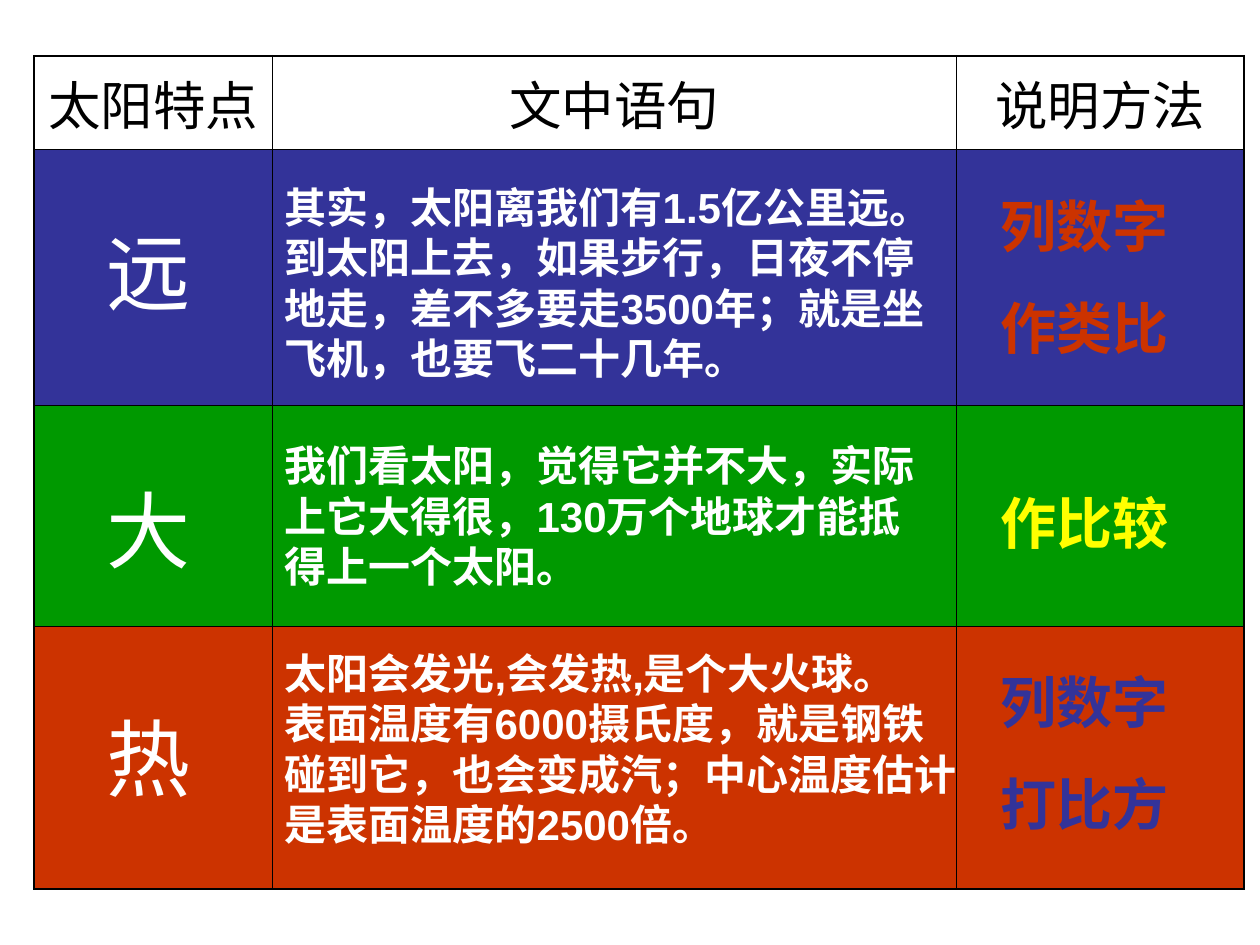
from dataclasses import dataclass
from typing import Sequence

from lxml import etree
from pptx import Presentation
from pptx import util as u
from pptx.dml.color import RGBColor
from pptx.enum import lang, text
from pptx.oxml import ns


@dataclass(frozen=True)
class Theme:
    font: str = "Arial"
    white: str = "FFFFFF"
    black: str = "000000"
    blue: str = "333399"
    green: str = "009900"
    red: str = "CC3300"
    yellow: str = "FFFF00"
    header_size: float = 30
    feature_size: float = 48
    quote_size: float = 24
    method_size: float = 32
    inner_line: float = 0.45
    outer_line: float = 1.08


@dataclass(frozen=True)
class Box:
    left: float
    top: float
    width: float
    height: float


@dataclass(frozen=True)
class Feature:
    name: str
    fill: str
    name_top: float
    quotes: Sequence[str]
    quote_box: Box
    methods: Sequence[str]
    method_color: str
    method_box: Box


T = Theme()
TABLE_LEFT, TABLE_TOP = 19.6, 31.9
COLUMNS = (136, 391, 164.3)
ROWS = (53.4, 146.3, 126.4, 150)
HEADERS = ("太阳特点", "文中语句", "说明方法")
NAME_LEFT, NAME_WIDTH, NAME_HEIGHT = 54, 67.7, 64.8
QUOTE_LEFT, METHOD_LEFT, METHOD_WIDTH = 155.6, 564.5, 118.8

FEATURES = (
    Feature("远", T.blue, 122.4,
            ("其实，太阳离我们有1.5亿公里远。到太阳上去，如果步行，日夜不停地走，"
             "差不多要走3500年；就是坐飞机，也要飞二十几年。",),
            Box(QUOTE_LEFT, 100.1, 396.7, 122.4),
            ("列数字", "作类比"), T.red, Box(METHOD_LEFT, 105.8, METHOD_WIDTH, 104.4)),
    Feature("大", T.green, 270,
            ("我们看太阳，觉得它并不大，实际上它大得很，130万个地球才能抵得上一个太阳。",),
            Box(QUOTE_LEFT, 247.7, 385.9, 93.6),
            ("作比较",), T.yellow, Box(METHOD_LEFT, 275.8, METHOD_WIDTH, 46)),
    Feature("热", T.red, 400.3,
            ("太阳会发光,会发热,是个大火球。",
             "表面温度有6000摄氏度，就是钢铁碰到它，也会变成汽；"
             "中心温度估计是表面温度的2500倍。"),
            Box(QUOTE_LEFT, 366.5, 402.5, 122.4),
            ("列数字", "打比方"), T.blue, Box(METHOD_LEFT, 378, METHOD_WIDTH, 104.4)),
)


def add_run(p, content: str, size: float, color: str, bold: bool = False) -> None:
    r = p.add_run()
    r.text = content
    r.font.name = T.font
    r.font.size = u.Pt(size)
    r.font.bold = bold
    r.font.color.rgb = RGBColor.from_string(color)
    r.font.language_id = lang.MSO_LANGUAGE_ID.SIMPLIFIED_CHINESE


def add_text(s, box: Box, lines: Sequence[str], size: float, color: str,
             bold: bool = False, gap: float = 0) -> None:
    sp = s.shapes.add_textbox(*map(u.Pt, (box.left, box.top, box.width, box.height)))
    tf = sp.text_frame
    tf.word_wrap = True
    for i, line in enumerate(lines):
        p = tf.add_paragraph() if i else tf.paragraphs[0]
        if i and gap:
            p.space_before = u.Pt(gap)
        add_run(p, line, size, color, bold)


def set_borders(cell, outer: dict[str, bool]) -> None:
    """Draw the four edges; borders must precede the fill in the cell XML."""
    props = cell._tc.get_or_add_tcPr()
    for i, (edge, is_outer) in enumerate(outer.items()):
        width = T.outer_line if is_outer else T.inner_line
        ln = etree.Element(ns.qn(f"a:ln{edge}"), w=str(u.Pt(width)))
        fill = etree.SubElement(ln, ns.qn("a:solidFill"))
        etree.SubElement(fill, ns.qn("a:srgbClr"), val=T.black)
        props.insert(i, ln)


def add_grid(s) -> None:
    frame = s.shapes.add_table(len(ROWS), len(COLUMNS), u.Pt(TABLE_LEFT), u.Pt(TABLE_TOP),
                               u.Pt(sum(COLUMNS)), u.Pt(sum(ROWS)))
    table = frame.table
    table.first_row = table.horz_banding = False
    for column, width in zip(table.columns, COLUMNS):
        column.width = u.Pt(width)
    fills = (T.white, *(f.fill for f in FEATURES))
    for i, (height, fill) in enumerate(zip(ROWS, fills)):
        table.rows[i].height = u.Pt(height)
        for j, header in enumerate(HEADERS):
            cell = table.cell(i, j)
            cell.fill.solid()
            cell.fill.fore_color.rgb = RGBColor.from_string(fill)
            set_borders(cell, {"L": j == 0, "R": j == len(COLUMNS) - 1,
                               "T": i == 0, "B": i == len(ROWS) - 1})
            if i == 0:
                cell.vertical_anchor = text.MSO_ANCHOR.MIDDLE
                p = cell.text_frame.paragraphs[0]
                p.alignment = text.PP_ALIGN.CENTER
                add_run(p, header, T.header_size, T.black)


def add_feature(s, f: Feature) -> None:
    add_text(s, f.quote_box, f.quotes, T.quote_size, T.white, bold=True)
    add_text(s, Box(NAME_LEFT, f.name_top, NAME_WIDTH, NAME_HEIGHT), (f.name,),
             T.feature_size, T.white)
    add_text(s, f.method_box, f.methods, T.method_size, f.method_color, bold=True, gap=20)


def main() -> None:
    prs = Presentation()
    prs.slide_width, prs.slide_height = u.Pt(720), u.Pt(540)
    s = prs.slides.add_slide(prs.slide_layouts[6])
    # Coloured grid with the header row
    add_grid(s)
    # Texts laid over each coloured row
    for feature in FEATURES:
        add_feature(s, feature)
    prs.save("out.pptx")


if __name__ == "__main__":
    main()
